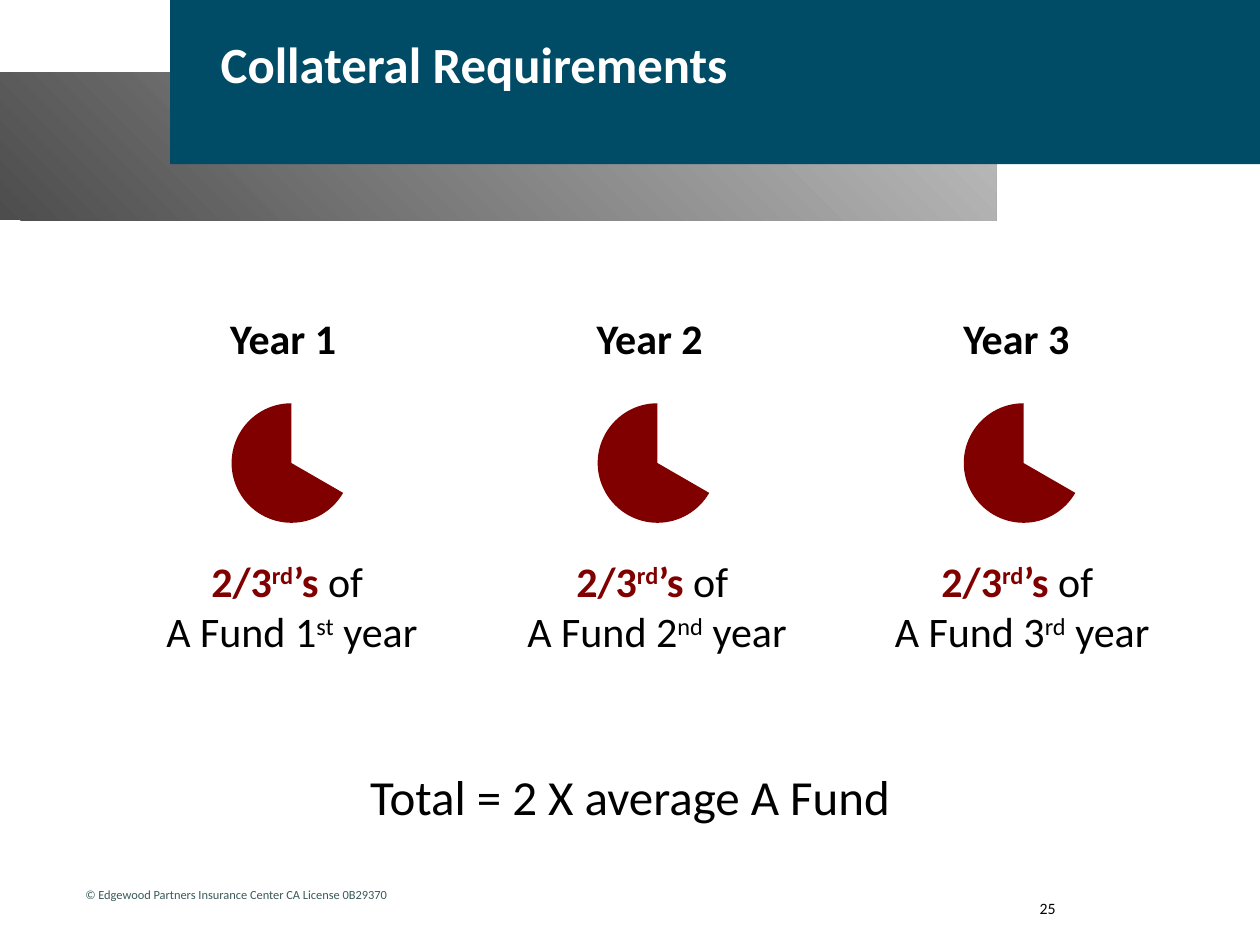
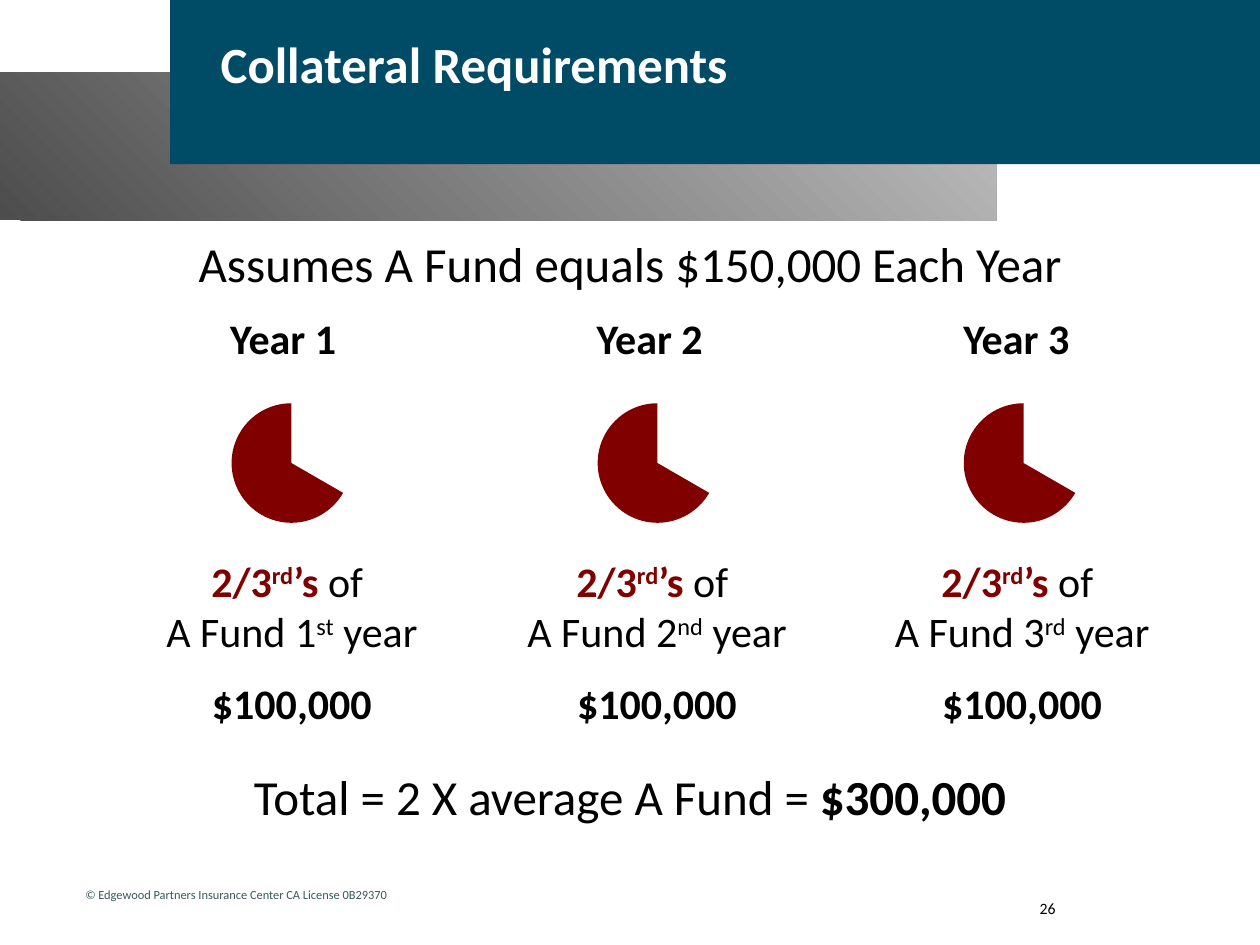
from dataclasses import dataclass

from pptx import Presentation
from pptx import util as u
from pptx.dml.color import RGBColor
from pptx.enum import shapes, text

Cm, Pt = u.Cm, u.Pt


@dataclass(frozen=True)
class Theme:
    font: str = "Calibri"
    teal: str = "004B65"
    dark_grey: str = "4D4D4D"
    light_grey: str = "BFBFBF"
    maroon: str = "800000"
    black: str = "000000"
    white: str = "FFFFFF"
    footer_green: str = "3A5959"
    title_size: float = 29
    statement_size: float = 28
    column_size: float = 24
    number_size: float = 9
    footer_size: float = 7.1


THEME = Theme()
SLIDE_WIDTH, SLIDE_HEIGHT = 25.4, 19.05
COPYRIGHT = "© Edgewood Partners Insurance Center CA License 0B29370"
ORDINALS = ["st", "nd", "rd"]


def set_all(target, values):
    for name, value in values.items():
        setattr(target, name, value)


def add_run(paragraph, words, size, color=THEME.black, bold=False, raised=False):
    run = paragraph.add_run()
    run.text = words
    set_all(run.font, {"name": THEME.font, "size": Pt(size), "bold": bold})
    run.font.color.rgb = RGBColor.from_string(color)
    if raised:
        run.font._element.set("baseline", "30000")


def add_text_box(slide, left, top, width, height, padded=True, **frame_format):
    """Add a wrapping text box and return its text frame."""
    box = slide.shapes.add_textbox(Cm(left), Cm(top), Cm(width), Cm(height))
    frame = box.text_frame
    frame.word_wrap = True
    if not padded:
        sides = ("left", "top", "right", "bottom")
        set_all(frame, {f"margin_{side}": 0 for side in sides})
    set_all(frame, frame_format)
    return frame


def add_filled_shape(slide, preset, left, top, width, height, color=None):
    shape = slide.shapes.add_shape(preset, Cm(left), Cm(top), Cm(width), Cm(height))
    shape.shadow.inherit = False
    shape.line.fill.background()
    if color:
        shape.fill.solid()
        shape.fill.fore_color.rgb = RGBColor.from_string(color)
    return shape


def add_bands(slide):
    rectangle = shapes.MSO_SHAPE.RECTANGLE
    grey_band = add_filled_shape(slide, rectangle, 0, 1.47, 20.09, 2.97)
    grey_band.fill.gradient()
    grey_band.fill.gradient_angle = 45
    stops = grey_band.fill.gradient_stops
    for stop, color in zip(stops, (THEME.dark_grey, THEME.light_grey)):
        stop.color.rgb = RGBColor.from_string(color)
    add_filled_shape(slide, rectangle, 3.43, 0, SLIDE_WIDTH - 3.43, 3.31, THEME.teal)


def add_title(slide, title):
    paragraph = add_text_box(slide, 4.45, 0.53, 19.89, 1.19, padded=False).paragraphs[0]
    paragraph.line_spacing = 1.1
    add_run(paragraph, title, THEME.title_size, THEME.white, bold=True)


def add_footer(slide, number):
    copyright_line = add_text_box(slide, 1.47, 17.75, 7.49, 0.56).paragraphs[0]
    add_run(copyright_line, COPYRIGHT, THEME.footer_size, THEME.footer_green)
    page = add_text_box(slide, 20.96, 17.98, 3.38, 0.64, padded=False,
                        vertical_anchor=text.MSO_ANCHOR.MIDDLE)
    add_run(page.paragraphs[0], str(number), THEME.number_size)


def add_statement(slide, top, words, bold_end=""):
    """Add a centred line across the whole slide."""
    paragraph = add_text_box(slide, 0, top, SLIDE_WIDTH, 1.12).paragraphs[0]
    set_all(paragraph, {"alignment": text.PP_ALIGN.CENTER, "line_spacing": 0.7})
    add_run(paragraph, words, THEME.statement_size)
    if bold_end:
        add_run(paragraph, bold_end, THEME.statement_size, bold=True)


def add_two_thirds_pie(slide, left):
    pie = add_filled_shape(slide, shapes.MSO_SHAPE.PIE, left, 8.13, 2.41, 2.41, THEME.maroon)
    for index, degrees in enumerate((30, 270)):
        pie.adjustments[index] = degrees * 60000 / 100000


def add_caption(slide, left, year, amount):
    frame = add_text_box(slide, left, 11.07, 6.35, 3.76 if amount else 2.31)
    share, size = frame.paragraphs[0], THEME.column_size
    share.alignment = text.PP_ALIGN.CENTER
    for words, raised in (("2/3", False), ("rd", True), ("’s", False)):
        add_run(share, words, size, THEME.maroon, bold=True, raised=raised)
    add_run(share, " of ", size)
    share.add_line_break()
    add_run(share, f"A Fund {year}", size)
    add_run(share, ORDINALS[year - 1], size, raised=True)
    add_run(share, " year", size)
    if amount:
        total = frame.add_paragraph()
        set_all(total, {"alignment": text.PP_ALIGN.CENTER, "space_before": Pt(12)})
        add_run(total, amount, size, bold=True)


def add_year_column(slide, year, amount):
    step = year - 1
    heading = add_text_box(slide, 4.39 + 7.39 * step, 6.17, 3.02, 1.3)
    add_run(heading.paragraphs[0], f"Year {year}", THEME.column_size, bold=True)
    add_two_thirds_pie(slide, 4.67 + 7.38 * step)
    add_caption(slide, 2.71 + 7.36 * step, year, amount)


def add_collateral_slide(deck, number, amount="", assumption="", total=""):
    slide = deck.slides.add_slide(deck.slide_layouts[6])
    add_bands(slide)
    add_title(slide, "Collateral Requirements")
    if assumption:
        add_statement(slide, 4.9, assumption)
    for year in (1, 2, 3):
        add_year_column(slide, year, amount)
    formula = "Total = 2 X average A Fund"
    add_statement(slide, 15.65, f"{formula} = " if total else formula, total)
    add_footer(slide, number)


def main():
    deck = Presentation()
    set_all(deck, {"slide_width": Cm(SLIDE_WIDTH), "slide_height": Cm(SLIDE_HEIGHT)})
    add_collateral_slide(deck, 25)
    add_collateral_slide(deck, 26, amount="$100,000", total="$300,000",
                         assumption="Assumes A Fund equals $150,000 Each Year")
    deck.save("out.pptx")


if __name__ == "__main__":
    main()
